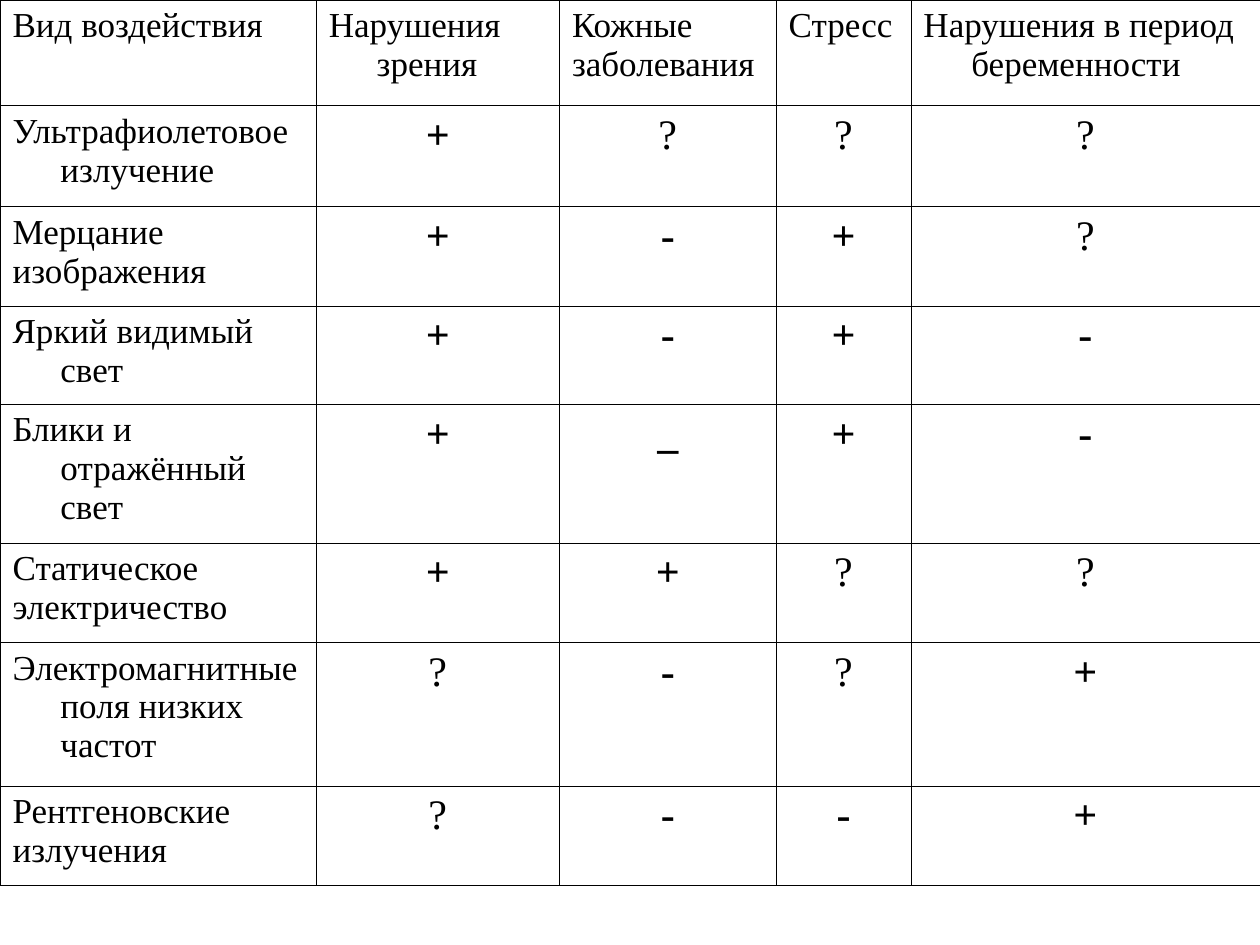
import pptx
import pptx.dml.color
import pptx.enum.text
import pptx.oxml
import pptx.oxml.ns
import pptx.util
from dataclasses import dataclass

Inches = pptx.util.Inches
Pt = pptx.util.Pt

# Content: a line break in a label starts a new paragraph
HEADERS = [
    "Вид воздействия",
    "Нарушения зрения",
    "Кожные\nзаболевания",
    "Стресс",
    "Нарушения в период беременности",
]
EFFECTS = [
    ("Ультрафиолетовое излучение", "+???"),
    ("Мерцание\nизображения", "+-+?"),
    ("Яркий видимый свет", "+-+-"),
    ("Блики и отражённый свет", "+_+-"),
    ("Статическое\nэлектричество", "++??"),
    ("Электромагнитные поля низких частот", "?-?+"),
    ("Рентгеновские\nизлучения", "?--+"),
]
COLUMN_WIDTHS = [2.51, 1.93, 1.72, 1.07, 2.77]
ROW_HEIGHTS = [0.84, 0.8, 0.79, 0.78, 1.1, 0.79, 1.14, 0.79]


@dataclass(frozen=True)
class Theme:
    font: str = "Times New Roman"
    ink: str = "000000"
    label_size: float = 20
    mark_size: float = 24
    border_width: float = 0.45
    hanging_indent: float = 0.38


THEME = Theme()


def add_borders(cell):
    properties = cell._tc.get_or_add_tcPr()
    for position, side in enumerate(("lnL", "lnR", "lnT", "lnB")):
        border = pptx.oxml.parse_xml(
            f'<a:{side} {pptx.oxml.ns.nsdecls("a")} w="{Pt(THEME.border_width)}">'
            f'<a:solidFill><a:srgbClr val="{THEME.ink}"/></a:solidFill></a:{side}>'
        )
        properties.insert(position, border)


def fill_cell(cell, text, is_mark):
    cell.fill.background()
    add_borders(cell)
    cell.text = text
    for paragraph in cell.text_frame.paragraphs:
        properties = paragraph._p.get_or_add_pPr()
        properties.set("marL", str(Inches(THEME.hanging_indent)))
        properties.set("indent", str(-Inches(THEME.hanging_indent)))
        if is_mark:
            paragraph.alignment = pptx.enum.text.PP_ALIGN.CENTER
        font = paragraph.font
        font.name = THEME.font
        font.size = Pt(THEME.mark_size if is_mark else THEME.label_size)
        font.bold = is_mark and text != "?"
        font.color.rgb = pptx.dml.color.RGBColor.from_string(THEME.ink)


def main():
    presentation = pptx.Presentation()
    presentation.slide_width = Inches(10)
    presentation.slide_height = Inches(7.5)
    slide = presentation.slides.add_slide(presentation.slide_layouts[6])

    # Table grid
    rows = [HEADERS] + [[label, *marks] for label, marks in EFFECTS]
    table = slide.shapes.add_table(
        len(rows), len(HEADERS), 0, 0,
        Inches(sum(COLUMN_WIDTHS)), Inches(sum(ROW_HEIGHTS)),
    ).table
    table.first_row = False
    table.horz_banding = False
    for column, width in zip(table.columns, COLUMN_WIDTHS):
        column.width = Inches(width)
    for row, height in zip(table.rows, ROW_HEIGHTS):
        row.height = Inches(height)

    # Labels in the first row and column, marks elsewhere
    for row_index, values in enumerate(rows):
        for column_index, text in enumerate(values):
            is_mark = row_index > 0 and column_index > 0
            fill_cell(table.cell(row_index, column_index), text, is_mark)

    presentation.save("out.pptx")


if __name__ == "__main__":
    main()
